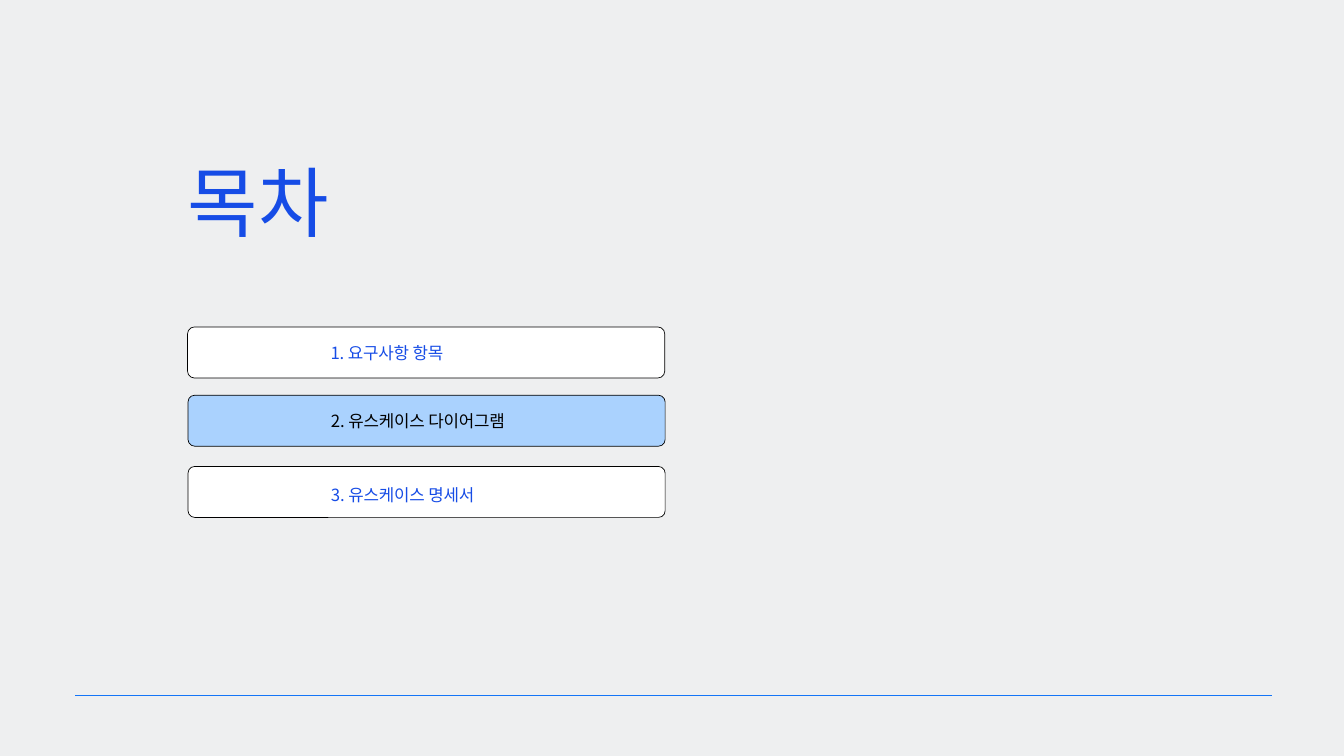
from lxml.etree import SubElement
from pptx import Presentation
from pptx.dml.color import RGBColor
from pptx.enum.shapes import MSO_CONNECTOR, MSO_SHAPE
from pptx.enum.text import MSO_ANCHOR, MSO_AUTO_SIZE, PP_ALIGN
from pptx.oxml.ns import qn
from pptx.util import Pt

FONT = "Noto Sans CJK KR"
PAPER = RGBColor(0xEE, 0xEF, 0xF0)
BLUE = RGBColor(0x16, 0x4C, 0xE6)
RULE = RGBColor(0x14, 0x75, 0xF7)
LIGHT = RGBColor(0xAA, 0xD2, 0xFE)
WHITE = RGBColor(0xFF, 0xFF, 0xFF)
BLACK = RGBColor(0, 0, 0)


def write(frame, text, size, color, align=PP_ALIGN.LEFT, anchor=MSO_ANCHOR.MIDDLE,
          leading=None, indent=0, track=0):
    frame.word_wrap = True
    frame.vertical_anchor = anchor
    para = frame.paragraphs[0]
    para.alignment = align
    if leading:
        para.line_spacing = Pt(leading)
    if indent:
        para._p.get_or_add_pPr().set("marL", str(Pt(indent)))
    run = para.add_run()
    run.text = text
    run.font.size = Pt(size)
    run.font.color.rgb = color
    run.font.name = FONT
    props = run._r.get_or_add_rPr()
    SubElement(props, qn("a:ea")).set("typeface", FONT)
    if track:
        props.set("spc", str(round(track * 100)))


deck = Presentation()
deck.slide_width, deck.slide_height = Pt(1440), Pt(810)
slide = deck.slides.add_slide(deck.slide_layouts[5])
slide.background.fill.solid()
slide.background.fill.fore_color.rgb = PAPER

rule = slide.shapes.add_connector(
    MSO_CONNECTOR.STRAIGHT, Pt(80.8), Pt(745.2), Pt(1363), Pt(745.2))
rule.line.color.rgb = RULE
rule.line.width = Pt(1)
SubElement(rule._element.spPr, qn("a:effectLst"))

title = slide.shapes.title
title.left, title.top, title.width, title.height = Pt(201), Pt(150), Pt(330.5), Pt(116)
frame = title.text_frame
frame.auto_size = MSO_AUTO_SIZE.NONE
frame.margin_left = frame.margin_top = frame.margin_right = frame.margin_bottom = 0
write(frame, "목차", 82, BLUE, align=PP_ALIGN.JUSTIFY, anchor=MSO_ANCHOR.TOP, leading=114.8)

items = [
    ("1. 요구사항 항목", 201, 350.4, WHITE, BLUE, None),
    ("2. 유스케이스 다이어그램", 201.5, 423.5, LIGHT, BLACK, None),
    ("3. 유스케이스 명세서", 201.5, 499.8, WHITE, BLUE, 28),
]
for text, left, top, fill, ink, leading in items:
    box = slide.shapes.add_shape(
        MSO_SHAPE.ROUNDED_RECTANGLE, Pt(left), Pt(top), Pt(511.2), Pt(54.6))
    box.adjustments[0] = 0.13
    box.shadow.inherit = False
    box.fill.solid()
    box.fill.fore_color.rgb = fill
    box.line.color.rgb = BLACK
    box.line.width = Pt(0.75)
    write(box.text_frame, text, 18, ink, leading=leading, indent=144, track=-0.2)

deck.save("out.pptx")
